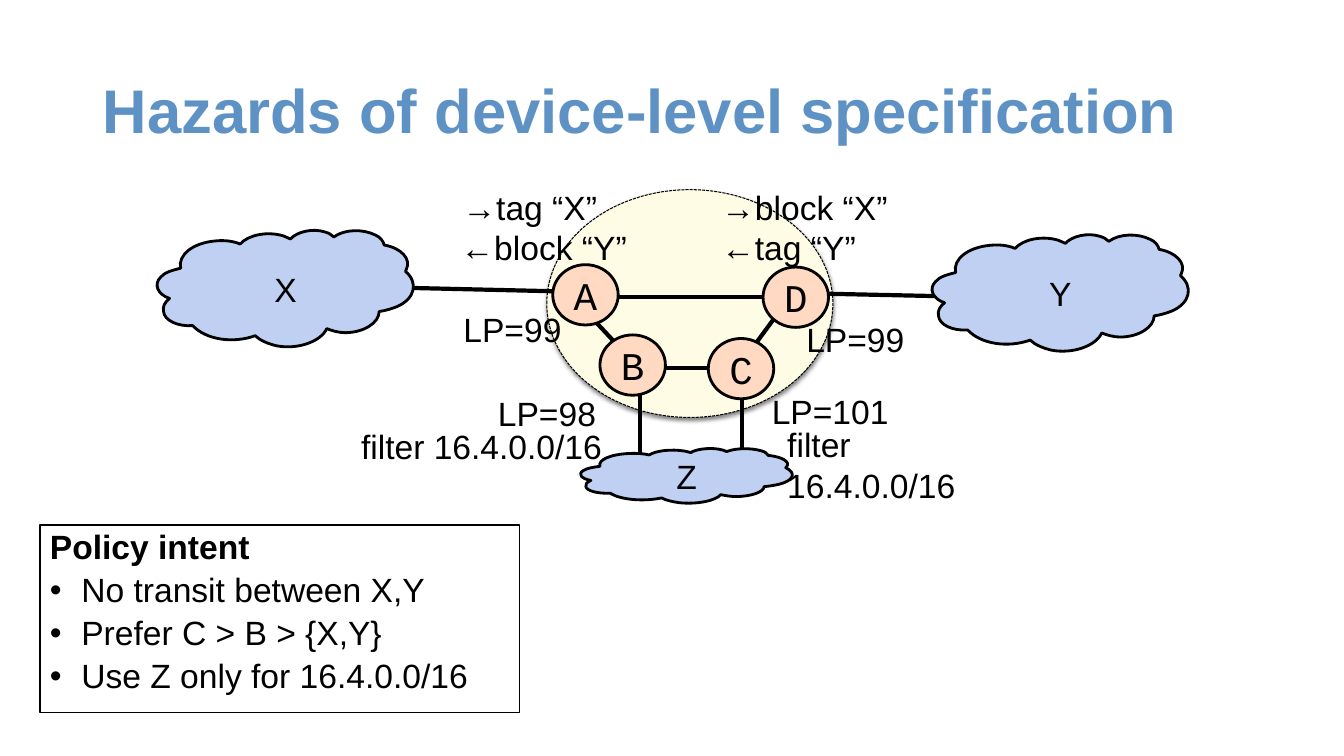
"""Build the slide on the hazards of device-level network specification."""
import pptx
import pptx.dml.color
import pptx.enum.dml
import pptx.enum.shapes
import pptx.enum.text
import pptx.oxml
import pptx.oxml.ns
import pptx.util
from pptx.util import Cm

TITLE = ("Hazards of device-level specification", 2.34, 1.02, 29.21, 3.68)
NETWORK = (13.78, 4.78, 7.21, 5.74)
CLOUDS = [
    ("X", 3.97, 5.82, 6.45, 2.92),
    ("Y", 23.5, 5.93, 6.45, 2.92),
    ("Z", 14.64, 11.31, 5.33, 1.37),
]
OUTER_LINKS = [
    (19.35, 7.37, 24.94, 7.49),
    (16.13, 9.93, 16.13, 11.63),
    (9.68, 7.24, 15.29, 7.37),
    (18.69, 9.88, 18.69, 11.68),
]
INNER_LINKS = [
    (15.29, 7.48, 19.51, 7.48),
    (16.69, 9.27, 18.11, 9.27),
    (14.86, 7.95, 15.62, 8.76),
    (18.85, 8.92, 19.66, 7.82),
]
ROUTERS = [("A", 13.93, 6.67), ("B", 15.12, 8.44), ("D", 19.23, 6.73), ("C", 17.85, 8.53)]
ROUTER_SIZE = (1.65, 1.52)
LABELS = [
    ("←block “Y”", 11.51, 5.61, 6.17),
    ("→tag “X”", 11.56, 4.62, 5.87),
    ("→block “X”", 18.08, 4.62, 6.12),
    ("←tag “Y”", 18.08, 5.61, 5.87),
    ("LP=98", 12.45, 9.8, 3.53),
    ("LP=99", 20.22, 7.93, 3.45),
    ("LP=101", 19.35, 9.75, 3.45),
    ("filter 16.4.0.0/16", 9, 10.64, 7.37),
    ("LP=99", 11.58, 7.69, 3.45),
    ("filter 16.4.0.0/16", 19.74, 10.59, 5.8),
]
LABEL_HEIGHT = 1.3
POLICY_BOX = (1.01, 13.23, 12.09, 4.72)
POLICY = ["Policy intent", "No transit between X,Y", "Prefer C > B > {X,Y}", "Use Z only for 16.4.0.0/16"]

CLOUD_SIZE = (254, 115)
CLOUD_START = (23, 37)
CLOUD_CURVES = [
    (20, 24, 35, 12, 57, 10), (66, 9, 75, 10, 82, 13), (90, 4, 109, 0, 125, 5),
    (127, 6, 130, 7, 132, 8), (138, 1, 154, -3, 166, 1), (170, 2, 173, 4, 175, 6),
    (186, -2, 204, -2, 216, 4), (221, 6, 224, 10, 225, 14), (242, 17, 252, 28, 247, 38),
    (247, 39, 246, 40, 246, 40), (259, 51, 256, 67, 238, 75), (233, 77, 227, 79, 220, 80),
    (220, 91, 205, 101, 186, 101), (180, 101, 173, 99, 168, 97), (162, 110, 139, 118, 118, 114),
    (110, 112, 102, 109, 97, 104), (75, 112, 48, 108, 35, 94), (20, 95, 7, 89, 6, 80),
    (5, 75, 7, 71, 12, 67), (0, 63, -4, 53, 3, 46), (7, 41, 15, 39, 23, 37),
]

THEME = {
    "title": "5E92C5", "ink": "000000", "network": "FEFCE4", "cloud": "BFD0F2", "router": "FFD9C1",
    "font": "Arial", "router_font": "Courier New",
    "title_size": 44, "text_size": 24, "router_size": 28,
}
CENTER = pptx.enum.text.PP_ALIGN.CENTER
LEFT = pptx.enum.text.PP_ALIGN.LEFT
MIDDLE = pptx.enum.text.MSO_ANCHOR.MIDDLE
TOP = pptx.enum.text.MSO_ANCHOR.TOP
SHAPES = pptx.enum.shapes.MSO_SHAPE


def color(name):
    return pptx.dml.color.RGBColor.from_string(THEME[name])


def add_xml(parent, content):
    namespace = pptx.oxml.ns.nsdecls("a")
    parent.append(pptx.oxml.parse_xml(content.replace(">", f" {namespace}>", 1)))


def set_font(paragraph, size="text_size", font="font", ink="ink", bold=False):
    for run in paragraph.runs:
        run.font.name = THEME[font]
        run.font.size = pptx.util.Pt(THEME[size])
        run.font.color.rgb = color(ink)
        run.font.bold = bold


def write(shape, text, align=LEFT, anchor=TOP, inset=0.1, **font):
    frame = shape.text_frame
    frame.word_wrap = True
    frame.vertical_anchor = anchor
    frame.margin_left = frame.margin_right = frame.margin_top = frame.margin_bottom = Cm(inset)
    frame.text = text
    paragraph = frame.paragraphs[0]
    paragraph.alignment = align
    set_font(paragraph, **font)
    return paragraph


def paint(shape, fill, width):
    shape.shadow.inherit = False
    if fill:
        shape.fill.solid()
        shape.fill.fore_color.rgb = color(fill)
    else:
        shape.fill.background()
    shape.line.color.rgb = color("ink")
    shape.line.width = pptx.util.Pt(width)


def add_preset(slide, kind, box, fill, width):
    shape = slide.shapes.add_shape(kind, *map(Cm, box))
    paint(shape, fill, width)
    return shape


def add_text(slide, text, *box, **style):
    return write(slide.shapes.add_textbox(*map(Cm, box)), text, **style)


def add_links(slide, links):
    for link in links:
        connector = slide.shapes.add_connector(pptx.enum.shapes.MSO_CONNECTOR.STRAIGHT, *map(Cm, link))
        connector.line.color.rgb = color("ink")
        connector.line.width = pptx.util.Pt(3)
        add_xml(connector._element.spPr, "<a:effectLst></a:effectLst>")


def add_cloud(slide, name, *box):
    builder = slide.shapes.build_freeform(*CLOUD_START)
    builder.add_line_segments([curve[4:] for curve in CLOUD_CURVES], close=True)
    cloud = builder.convert_to_shape()
    cloud.left, cloud.top, cloud.width, cloud.height = map(Cm, box)
    outline = next(cloud._element.iter(pptx.oxml.ns.qn("a:path")))
    outline.set("w", str(CLOUD_SIZE[0]))
    outline.set("h", str(CLOUD_SIZE[1]))
    for segment in list(outline):
        outline.remove(segment)
    add_xml(outline, '<a:moveTo><a:pt x="{}" y="{}"/></a:moveTo>'.format(*CLOUD_START))
    for curve in CLOUD_CURVES:
        points = "".join(f'<a:pt x="{x}" y="{y}"/>' for x, y in zip(curve[::2], curve[1::2]))
        add_xml(outline, f"<a:cubicBezTo>{points}</a:cubicBezTo>")
    add_xml(outline, "<a:close></a:close>")
    paint(cloud, "cloud", 2)
    write(cloud, name, CENTER, MIDDLE)


def add_network(slide):
    network = add_preset(slide, SHAPES.OVAL, NETWORK, "network", 0.75)
    network.line.dash_style = pptx.enum.dml.MSO_LINE.SQUARE_DOT
    add_xml(
        network._element.spPr.find(pptx.oxml.ns.qn("a:effectLst")),
        '<a:outerShdw blurRad="38100" dist="25400" dir="5400000" rotWithShape="0">'
        '<a:srgbClr val="000000"><a:alpha val="50000"/></a:srgbClr></a:outerShdw>',
    )


def add_policy(slide):
    box = add_preset(slide, SHAPES.RECTANGLE, POLICY_BOX, None, 1)
    heading = write(box, POLICY[0], inset=0.13, bold=True)
    heading.line_spacing = 0.9
    frame = box.text_frame
    frame.margin_left = frame.margin_right = Cm(0.25)
    for item in POLICY[1:]:
        paragraph = frame.add_paragraph()
        paragraph.text = item
        paragraph.alignment = LEFT
        paragraph.line_spacing = 0.9
        paragraph.space_before = pptx.util.Pt(5)
        properties = paragraph._p.get_or_add_pPr()
        properties.set("marL", str(Cm(0.79)))
        properties.set("indent", str(-Cm(0.79)))
        add_xml(properties, '<a:buFont typeface="Arial"></a:buFont>')
        add_xml(properties, '<a:buChar char="•"></a:buChar>')
        set_font(paragraph)


def main():
    presentation = pptx.Presentation()
    presentation.slide_width, presentation.slide_height = Cm(33.87), Cm(19.05)
    slide = presentation.slides.add_slide(presentation.slide_layouts[6])
    add_network(slide)
    title = add_text(slide, *TITLE, anchor=MIDDLE, inset=0.25, size="title_size", ink="title", bold=True)
    title.line_spacing = 0.9
    add_links(slide, OUTER_LINKS)
    for cloud in CLOUDS:
        add_cloud(slide, *cloud)
    for label in LABELS:
        add_text(slide, *label, LABEL_HEIGHT)
    add_policy(slide)
    add_links(slide, INNER_LINKS)
    for name, left, top in ROUTERS:
        router = add_preset(slide, SHAPES.OVAL, (left, top, *ROUTER_SIZE), "router", 2)
        write(router, name, CENTER, MIDDLE, size="router_size", font="router_font")
    presentation.save("out.pptx")


if __name__ == "__main__":
    main()
